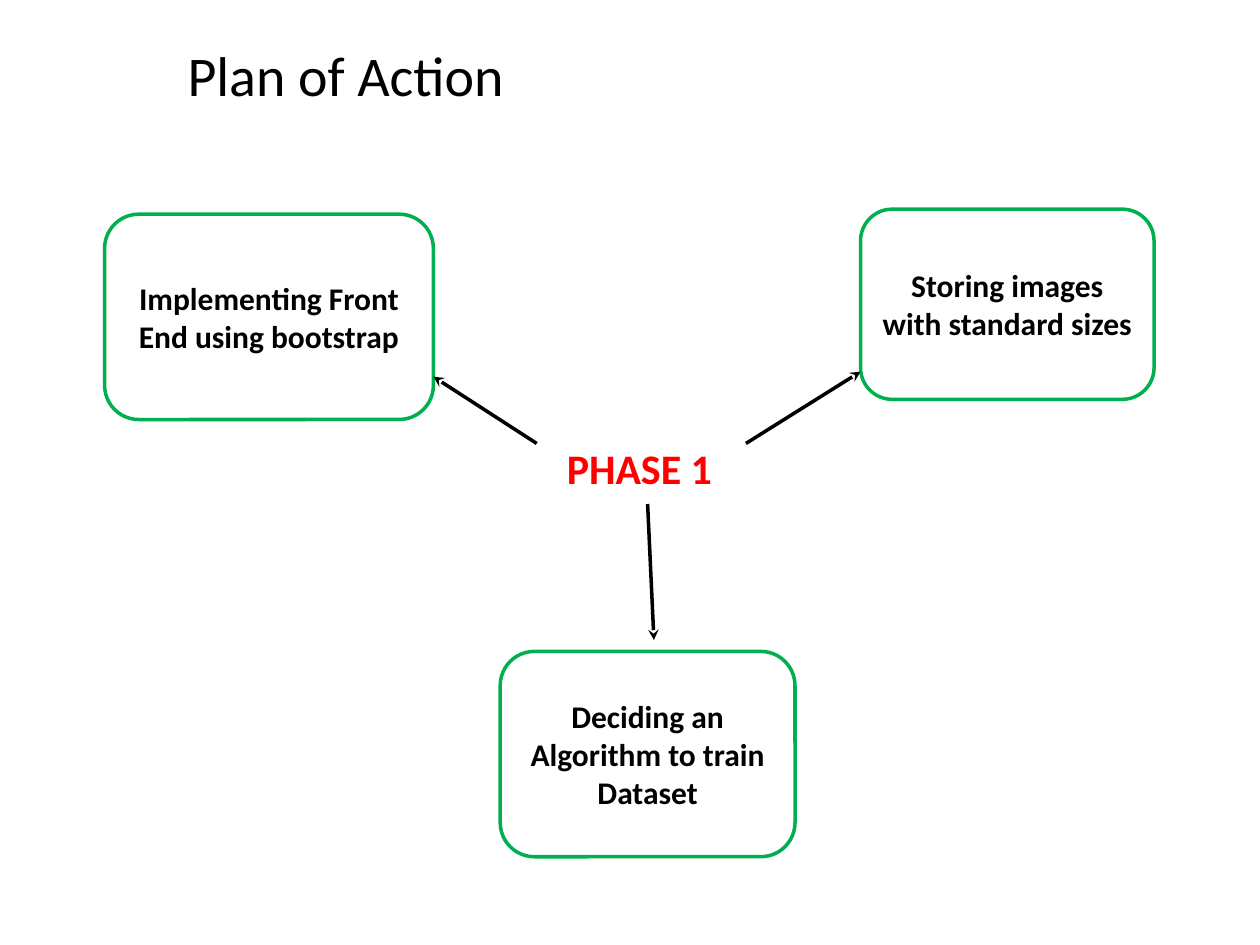
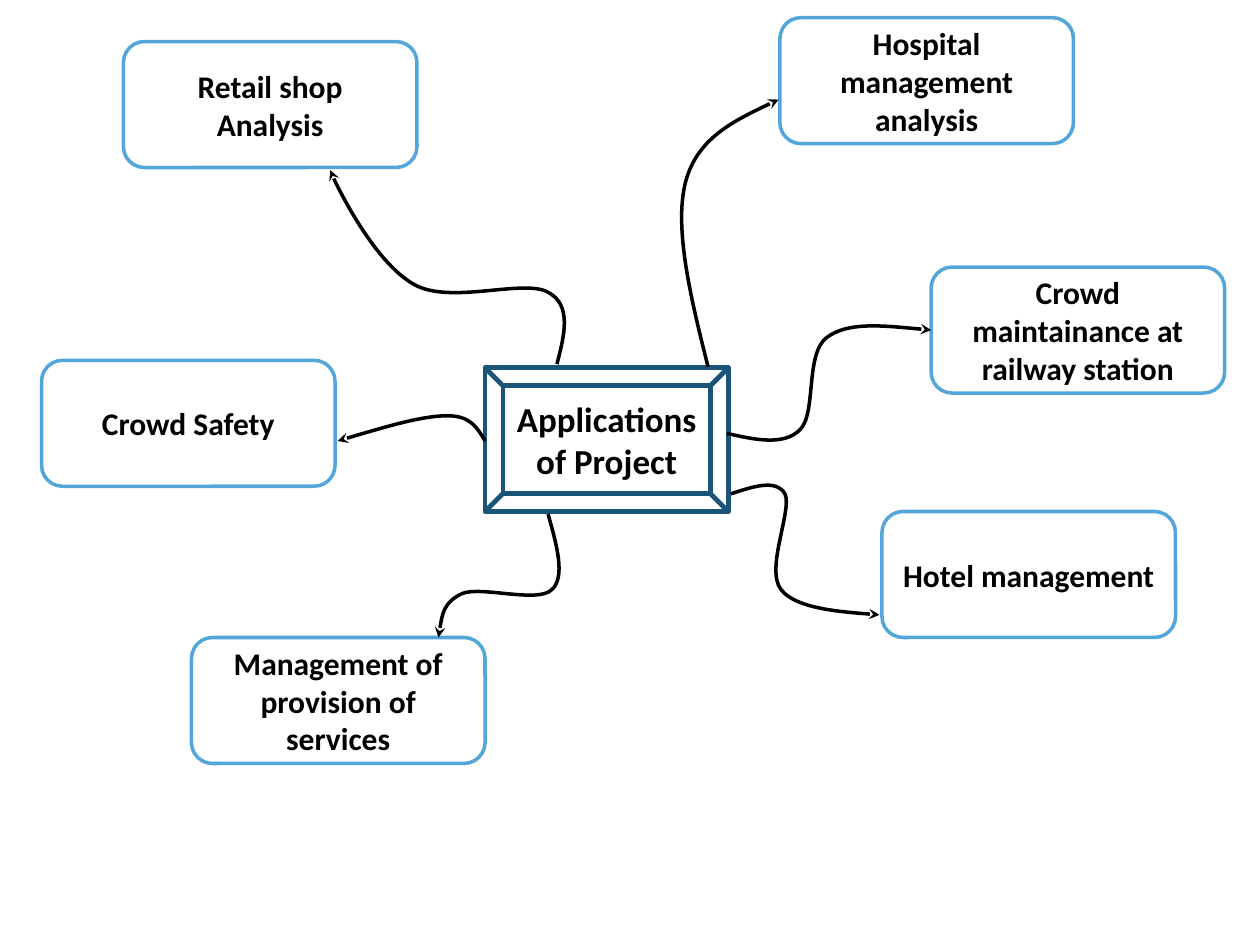
"""Build two mind-map slides: a plan of action and the project's applications."""
from dataclasses import dataclass

from lxml import etree
from pptx import Presentation
from pptx import util as u
from pptx.dml.color import RGBColor
from pptx.enum import shapes, text
from pptx.oxml.ns import qn


@dataclass(frozen=True)
class Theme:
    """Colours, font and sizes shared by the slides."""
    font: str = "Calibri"
    ink: str = "000000"
    phase: str = "FF0000"
    plan_line: str = "00B050"
    topic_line: str = "53A6D9"
    hub_line: str = "1A5478"
    title_size: float = 32
    phase_size: float = 24
    hub_size: float = 20
    box_size: float = 18
    line_width: float = 2
    hub_line_width: float = 2.75


THEME = Theme()
BOX = shapes.MSO_SHAPE.ROUNDED_RECTANGLE
HUB = shapes.MSO_SHAPE.BEVEL
TOPIC_SIZE = (2.33, 1)

PLAN_BOXES = [
    ("Implementing Front End using bootstrap", (0.83, 1.7, 2.61, 1.63)),
    ("Deciding an Algorithm to train Dataset", (3.97, 5.17, 2.34, 1.63)),
    ("Storing images with standard sizes", (6.83, 1.66, 2.33, 1.51)),
]
PLAN_ARROWS = [
    ((4.26, 3.52), (3.44, 2.99)),
    ((5.92, 3.52), (6.83, 2.95)),
    ((5.14, 4), (5.19, 5.08)),
]
TOPICS = [
    ("Retail shop Analysis", (0.98, 0.33)),
    ("Management of provision of services", (1.52, 5.06)),
    ("Crowd Safety", (0.33, 2.86)),
    ("Hospital management analysis", (6.19, 0.14)),
    ("Crowd maintainance at railway station", (7.39, 2.12)),
    ("Hotel management", (7, 4.06)),
]
TOPIC_CURVES = [
    [(4.42, 2.89), (4.48, 2.66), (4.54, 2.42), (4.35, 2.32), (4.16, 2.21),
     (3.58, 2.42), (3.29, 2.26), (3, 2.1), (2.63, 1.41), (2.62, 1.35)],
    [(3.85, 3.5), (3.79, 3.4), (3.74, 3.3), (3.55, 3.3), (3.35, 3.3),
     (3.02, 3.4), (2.68, 3.5)],
    [(4.35, 4.08), (4.42, 4.33), (4.49, 4.58), (4.38, 4.68), (4.27, 4.79),
     (3.82, 4.65), (3.67, 4.71), (3.52, 4.78), (3.5, 4.92), (3.48, 5.06)],
    [(5.62, 2.91), (5.48, 2.36), (5.35, 1.81), (5.44, 1.45), (5.53, 1.1),
     (5.86, 0.94), (6.18, 0.79)],
    [(5.77, 3.44), (5.99, 3.49), (6.22, 3.54), (6.35, 3.41), (6.48, 3.28),
     (6.39, 2.81), (6.56, 2.68), (6.73, 2.55), (7.06, 2.59), (7.39, 2.62)],
    [(5.8, 3.92), (5.98, 3.86), (6.16, 3.8), (6.23, 3.92), (6.29, 4.05),
     (6.07, 4.52), (6.2, 4.68), (6.32, 4.84), (6.98, 4.88), (6.98, 4.88)],
]


def inches(values):
    """Turn numbers into lengths."""
    return [u.Inches(value) for value in values]


def write(shape, words, size, color=THEME.ink, bold=True, align=text.PP_ALIGN.CENTER):
    """Put one formatted paragraph into a shape."""
    shape.text_frame.word_wrap = True
    paragraph = shape.text_frame.paragraphs[0]
    paragraph.alignment = align
    run = paragraph.add_run()
    run.text = words
    font_format = {"name": THEME.font, "size": u.Pt(size), "bold": bold}
    for name, value in font_format.items():
        setattr(run.font, name, value)
    run.font.color.rgb = RGBColor.from_string(color)


def set_line(shape, color, width=THEME.line_width):
    """Set the colour and width of an outline."""
    shape.line.color.rgb = RGBColor.from_string(color)
    shape.line.width = u.Pt(width)


def add_label(slide, words, place, size, color=THEME.ink, bold=True):
    """Add a left-aligned text box."""
    label = slide.shapes.add_textbox(*inches(place))
    write(label, words, size, color, bold, text.PP_ALIGN.LEFT)


def add_box(slide, words, place, line_color, kind=BOX, size=THEME.box_size,
            line_width=THEME.line_width):
    """Add an unfilled outlined box with centred bold text."""
    box = slide.shapes.add_shape(kind, *inches(place))
    box.shadow.inherit = False
    box.fill.background()
    set_line(box, line_color, line_width)
    box.text_frame.vertical_anchor = text.MSO_ANCHOR.MIDDLE
    write(box, words, size)


def finish_arrow(arrow):
    """Give a line its colour, width and stealth arrowhead."""
    set_line(arrow, THEME.ink)
    outline = arrow.element.spPr.find(qn("a:ln"))
    etree.SubElement(outline, qn("a:tailEnd"), type="stealth")


def add_arrow(slide, start, end):
    """Add a straight arrow."""
    arrow = slide.shapes.add_connector(
        shapes.MSO_CONNECTOR.STRAIGHT, *inches(start + end))
    finish_arrow(arrow)
    etree.SubElement(arrow.element.spPr, qn("a:effectLst"))


def add_curved_arrow(slide, points):
    """Add an arrow of cubic curves through a start and triples of points."""
    start, *rest = [inches(point) for point in points]
    builder = slide.shapes.build_freeform(*start)
    builder.add_line_segments(rest, close=False)
    arrow = builder.convert_to_shape()
    arrow.shadow.inherit = False
    arrow.fill.background()
    outline = arrow.element.spPr.find(".//" + qn("a:path"))
    segments = outline.findall(qn("a:lnTo"))
    for first in range(0, len(segments), 3):
        curve = etree.SubElement(outline, qn("a:cubicBezTo"))
        for segment in segments[first:first + 3]:
            curve.append(segment[0])
            outline.remove(segment)
    finish_arrow(arrow)


def build_plan(slide):
    """Fill the plan of action slide."""
    add_label(slide, "Plan of Action", (1.39, 0.27, 4.17, 0.64),
              THEME.title_size, bold=False)
    for words, place in PLAN_BOXES:
        add_box(slide, words, place, THEME.plan_line)
    add_label(slide, "PHASE 1", (4.4, 3.46, 2.03, 0.5),
              THEME.phase_size, THEME.phase)
    for start, end in PLAN_ARROWS:
        add_arrow(slide, start, end)


def build_applications(slide):
    """Fill the applications slide."""
    for words, corner in TOPICS:
        add_box(slide, words, corner + TOPIC_SIZE, THEME.topic_line)
    add_box(slide, "Applications of Project", (3.85, 2.92, 1.93, 1.14),
            THEME.hub_line, HUB, THEME.hub_size, THEME.hub_line_width)
    for points in TOPIC_CURVES:
        add_curved_arrow(slide, points)


def main():
    """Build and save the presentation."""
    presentation = Presentation()
    presentation.slide_width, presentation.slide_height = inches((10, 7.5))
    blank = presentation.slide_layouts[6]
    for build in (build_plan, build_applications):
        build(presentation.slides.add_slide(blank))
    presentation.save("out.pptx")


if __name__ == "__main__":
    main()
